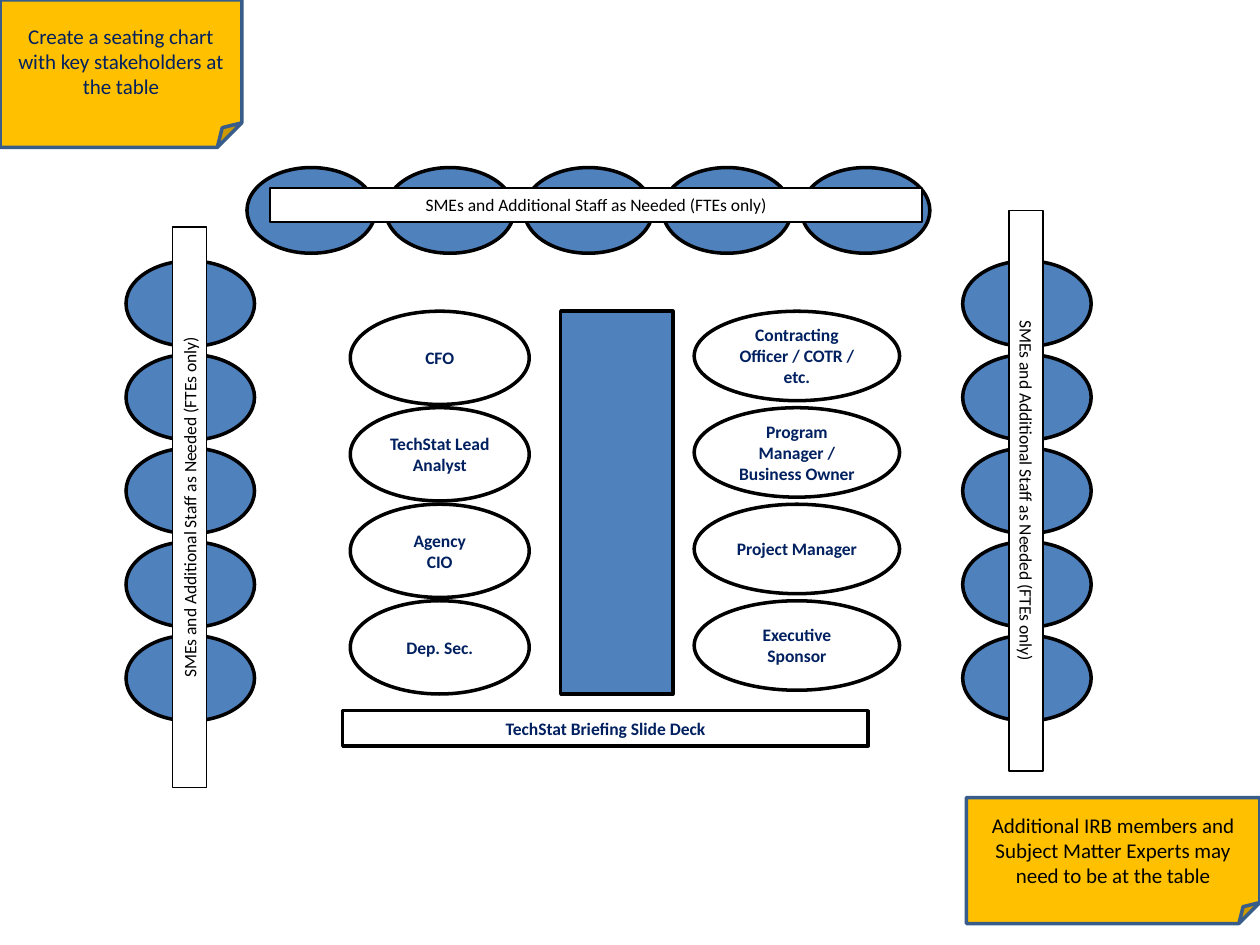
from dataclasses import dataclass
from typing import NamedTuple

from pptx import Presentation, util as u
from pptx.dml.color import RGBColor
from pptx.enum import shapes, text

KIND = shapes.MSO_SHAPE
COLS, ROWS = 100, 75


@dataclass(frozen=True)
class Theme:
    font: str = "Calibri"
    blue: str = "4F81BD"
    navy: str = "002060"
    gold: str = "FFC000"
    edge: str = "385D8A"
    black: str = "000000"
    white: str = "FFFFFF"
    small: int = 10
    large: int = 12
    thin: int = 1
    thick: int = 2


class Box(NamedTuple):
    col: float
    row: float
    wide: float
    high: float


@dataclass(frozen=True)
class Look:
    kind: int
    fill: str
    line: str
    width: int
    ink: str
    size: int
    bold: bool = False
    anchor: int = text.MSO_ANCHOR.MIDDLE


@dataclass(frozen=True)
class Row:
    start: Box
    right: float
    down: float
    names: tuple[str, ...]
    look: Look


@dataclass(frozen=True)
class Item:
    box: Box
    look: Look
    words: str = ""
    turn: int = 0


T = Theme()
GOLD = Look(KIND.FOLDED_CORNER, T.gold, T.edge, T.thick, T.navy, T.large)
DARK = Look(KIND.FOLDED_CORNER, T.gold, T.edge, T.thick, T.black, T.large)
CHAIR = Look(KIND.OVAL, T.blue, T.black, T.thick, T.navy, T.small)
TABLE = Look(KIND.RECTANGLE, T.blue, T.black, T.thick, T.navy, T.small)
SEAT = Look(KIND.OVAL, T.white, T.black, T.thick, T.navy, T.small, True)
DECK = Look(KIND.RECTANGLE, T.white, T.black, T.thick, T.navy, T.small, True)
LABEL = Look(KIND.RECTANGLE, T.white, T.black, T.thin, T.black, T.small,
             anchor=text.MSO_ANCHOR.TOP)

STAFF = "SMEs and Additional Staff as Needed (FTEs only)"
EMPTY = ("",) * 5

BASE = (
    Item(Box(0, 0, 19.2, 11.7), GOLD,
         "Create a seating chart with key stakeholders at the table"),
    Item(Box(76.7, 63.3, 23.3, 10), DARK,
         "Additional IRB members and Subject Matter Experts may need to be at the table"),
    Item(Box(44.5, 24.7, 8.9, 30.4), TABLE),
    Item(Box(27.2, 56.4, 41.7, 2.8), DECK, "TechStat Briefing Slide Deck"),
)
GROUPS = (
    Row(Box(10, 20.7, 10.2, 6.8), 0, 7.43, EMPTY, CHAIR),
    Row(Box(76.4, 20.7, 10.2, 6.8), 0, 7.43, EMPTY, CHAIR),
    Row(Box(27.8, 24.7, 14.2, 7.4), 0, 7.66,
        ("CFO", "TechStat Lead Analyst", "Agency\nCIO", "Dep. Sec."), SEAT),
    Row(Box(55.1, 24.7, 16.3, 7.1), 0, 7.66,
        ("Contracting Officer / COTR / etc.", "Program Manager / Business Owner",
         "Project Manager", "Executive Sponsor"), SEAT),
    Row(Box(19.6, 13.3, 10.2, 6.8), 11, 0, EMPTY, CHAIR),
)
LABELS = (
    Item(Box(59.2, 37.6, 44.5, 2.7), LABEL, STAFF, 90),
    Item(Box(21.4, 14.9, 51.8, 2.7), LABEL, STAFF),
    Item(Box(-7.2, 38.9, 44.5, 2.7), LABEL, STAFF, 270),
)


def draw(slide, item: Item, unit: tuple[float, float]) -> None:
    box, look = item.box, item.look
    across, down = unit
    shape = slide.shapes.add_shape(
        look.kind, round(box.col * across), round(box.row * down),
        round(box.wide * across), round(box.high * down))
    shape.rotation = item.turn
    shape.shadow.inherit = False
    shape.fill.solid()
    shape.fill.fore_color.rgb = RGBColor.from_string(look.fill)
    shape.line.color.rgb = RGBColor.from_string(look.line)
    shape.line.width = u.Pt(look.width)
    if not item.words:
        return
    frame = shape.text_frame
    frame.text = item.words
    frame.word_wrap = True
    frame.vertical_anchor = look.anchor
    for para in frame.paragraphs:
        para.alignment = text.PP_ALIGN.CENTER
        for run in para.runs:
            run.font.name = T.font
            run.font.size = u.Pt(look.size)
            run.font.bold = look.bold
            run.font.color.rgb = RGBColor.from_string(look.ink)


def spread(group: Row) -> list[Item]:
    first = group.start
    return [
        Item(first._replace(col=first.col + n * group.right,
                            row=first.row + n * group.down), group.look, name)
        for n, name in enumerate(group.names)
    ]


def main() -> None:
    deck = Presentation()
    deck.slide_width, deck.slide_height = u.Inches(10), u.Inches(7.5)
    unit = deck.slide_width / COLS, deck.slide_height / ROWS
    slide = deck.slides.add_slide(deck.slide_layouts[6])
    seats = [item for group in GROUPS for item in spread(group)]
    for item in (*BASE, *seats, *LABELS):
        draw(slide, item, unit)
    deck.save("out.pptx")


if __name__ == "__main__":
    main()
